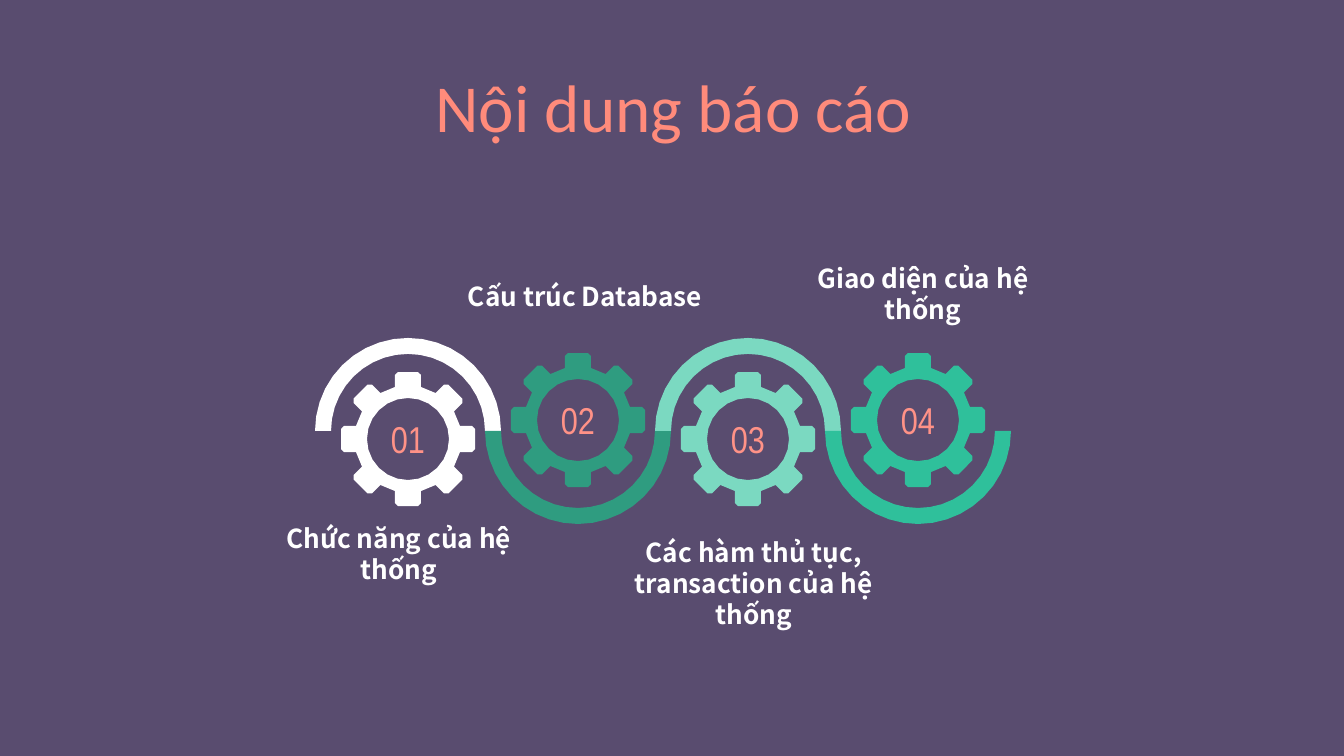
"""Build the report contents slide: four gears linked by a wave of half rings."""
from math import cos, pi, radians, sin

from pptx import Presentation
from pptx.dml.color import RGBColor
from pptx.enum.text import MSO_ANCHOR, PP_ALIGN
from pptx.util import Pt

PX = 6804
PURPLE = RGBColor(0x59, 0x4C, 0x6F)
CORAL = RGBColor(0xFF, 0x8B, 0x7B)
SALMON = RGBColor(0xFF, 0x92, 0x87)
WHITE = RGBColor(0xFF, 0xFF, 0xFF)
GREEN = RGBColor(0x2F, 0x9C, 0x80)
MINT = RGBColor(0x7B, 0xD9, 0xC1)
TEAL = RGBColor(0x2F, 0xC0, 0x9B)

FIRST_X, STEP_X, WAVE_Y = 408, 170, 431
TOPICS = [
    ("Chức năng của hệ thống", 243, 509, WHITE),
    ("Cấu trúc Database", 429, 267, GREEN),
    ("Các hàm thủ tục, transaction của hệ thống", 598, 523, MINT),
    ("Giao diện của hệ thống", 767, 249, TEAL),
]


def arc_points(x, y, radius, start, end, steps):
    angles = [radians(start + (end - start) * i / steps) for i in range(steps + 1)]
    return [(x + radius * cos(a), y + radius * sin(a)) for a in angles]


def gear_points(x, y, teeth=8):
    base, tip, half, bevel = 52, 67, 13, 3
    tooth = [(base, -half), (tip - bevel, -half), (tip, bevel - half),
             (tip, half - bevel), (tip - bevel, half), (base, half)]
    turns = [2 * pi * i / teeth for i in range(teeth)]
    return [(x + u * cos(a) - v * sin(a), y + u * sin(a) + v * cos(a))
            for a in turns for u, v in tooth]


class SlidePainter:
    def __init__(self, slide, background):
        self.slide = slide
        slide.background.fill.solid()
        slide.background.fill.fore_color.rgb = background

    def text(self, wording, box, font, size, color, bold=False,
             anchor=MSO_ANCHOR.TOP, margin=0):
        frame = self.slide.shapes.add_textbox(*(n * PX for n in box)).text_frame
        frame.word_wrap = True
        frame.vertical_anchor = anchor
        frame.margin_left = frame.margin_right = 13 * PX
        frame.margin_top = frame.margin_bottom = 13 * PX
        paragraph = frame.paragraphs[0]
        paragraph.text = wording
        paragraph.alignment = PP_ALIGN.CENTER
        paragraph.font.name = font
        paragraph.font.size = Pt(size)
        paragraph.font.bold = bold
        paragraph.font.color.rgb = color
        if margin:
            paragraph._p.get_or_add_pPr().set("marL", str(margin * PX))
            paragraph._p.get_or_add_pPr().set("indent", "0")

    def outline(self, color, *contours):
        scaled = [[(round(x * PX), round(y * PX)) for x, y in c] for c in contours]
        first, *others = scaled
        builder = self.slide.shapes.build_freeform(*first[0])
        builder.add_line_segments(first[1:], close=True)
        for contour in others:
            builder.move_to(*contour[0])
            builder.add_line_segments(contour[1:], close=True)
        shape = builder.convert_to_shape()
        shape.shadow.inherit = False
        shape.fill.solid()
        shape.fill.fore_color.rgb = color
        shape.line.fill.background()

    def gear(self, x, y, number, color):
        self.outline(color, gear_points(x, y), arc_points(x, y, 41, 360, 15, 23))
        self.text(number, (x - 36, y - 23, 72, 46), "Arial Narrow", 20, SALMON,
                  anchor=MSO_ANCHOR.MIDDLE)

    def half_ring(self, x, y, start, color):
        outer = arc_points(x, y, 93, start, start + 180, 20)
        inner = arc_points(x, y, 77, start + 180, start, 20)
        self.outline(color, outer + inner)

    def label(self, wording, left, top):
        self.text(wording, (left, top, 289, 91), "Noto Sans CJK JP", 14, WHITE,
                  bold=True, margin=23)


def main():
    deck = Presentation()
    deck.slide_width, deck.slide_height = 1344 * PX, 756 * PX
    painter = SlidePainter(deck.slides.add_slide(deck.slide_layouts[6]), PURPLE)
    painter.text("Nội dung báo cáo", (105, 52, 1137, 85), "Calibri", 36, CORAL)
    for i, (topic, left, top, color) in enumerate(TOPICS):
        x = FIRST_X + i * STEP_X
        arched = i % 2 == 0
        painter.half_ring(x, WAVE_Y, 180 if arched else 0, color)
        painter.gear(x, 439 if arched else 420, f"{i + 1:02}", color)
        painter.label(topic, left, top)
    deck.save("out.pptx")


if __name__ == "__main__":
    main()
